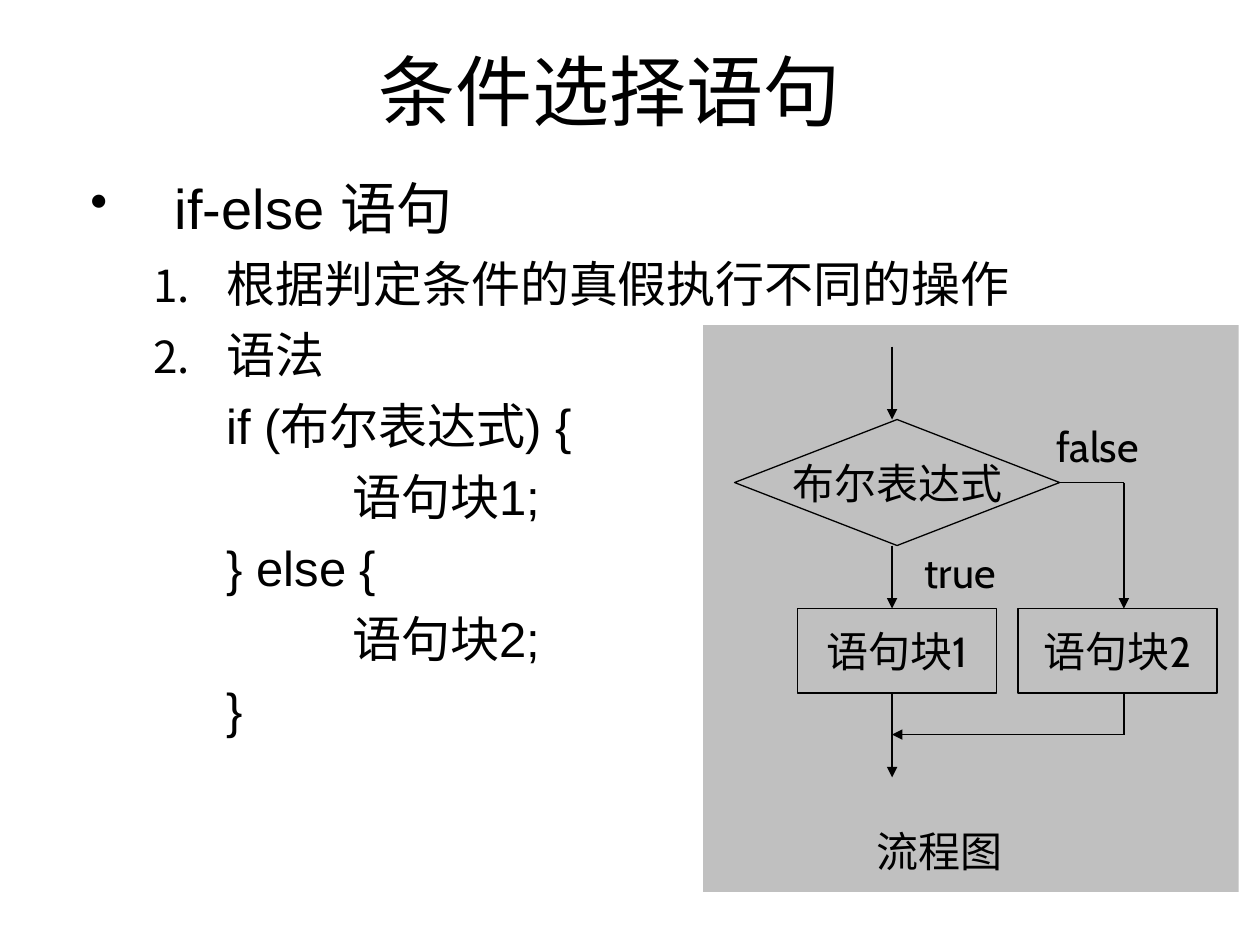
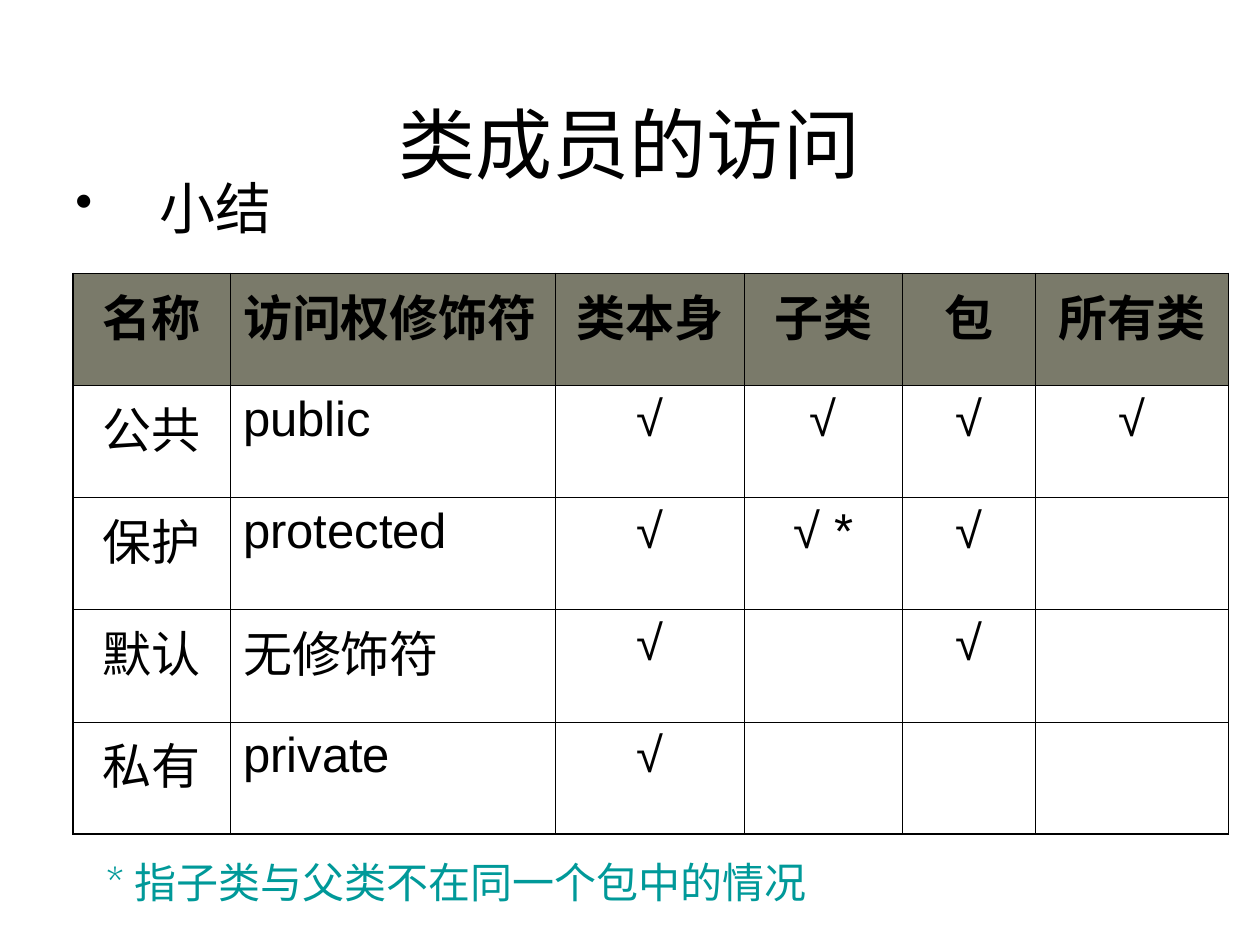
from lxml.etree import SubElement
from pptx import Presentation
from pptx.dml.color import RGBColor
from pptx.enum.shapes import MSO_CONNECTOR, MSO_SHAPE
from pptx.enum.text import MSO_ANCHOR, MSO_AUTO_SIZE, PP_ALIGN
from pptx.oxml.ns import qn
from pptx.util import Inches, Pt

BLACK, GREY, OLIVE, TEAL = "000000", "C0C0C0", "7A7A6A", "009999"
HEADING, TOPIC, DETAIL, LABEL = 44, 32, 28, 24
BODY_FONT, LABEL_FONT = "Arial", "Cabin"
TITLE_ONLY = 5

TOPIC_BULLET = {"margin": 0.67, "hang": 0.67, "bullet": ("buChar", {"char": "•"})}
NUMBERED = {"margin": 1.08, "hang": 0.58,
            "bullet": ("buAutoNum", {"type": "arabicPeriod"})}
CODE = {"margin": 1.08}
CODE_INNER = {"margin": 2.08}

IF_ELSE_LINES = [
    ("根据判定条件的真假执行不同的操作", NUMBERED),
    ("语法", NUMBERED),
    ("if (布尔表达式) {", CODE),
    ("语句块1;", CODE_INNER),
    ("} else {", CODE),
    ("语句块2;", CODE_INNER),
    ("}", CODE),
]

ACCESS_COLUMNS = [1.25, 2.58, 1.5, 1.25, 1.06, 1.53]
ACCESS_ROWS = [
    ["名称", "访问权修饰符", "类本身", "子类", "包", "所有类"],
    ["公共", "public", "√", "√", "√", "√"],
    ["保护", "protected", "√", "√ *", "√", ""],
    ["默认", "无修饰符", "√", "", "√", ""],
    ["私有", "private", "√", "", "", ""],
]


def color(value):
    return RGBColor.from_string(value)


def apply(target, formats):
    for name, value in formats.items():
        setattr(target, name, value)


def box_lengths(*lengths):
    return [Inches(length) for length in lengths]


def write(paragraph, text, size, font=BODY_FONT, ink=BLACK, bold=False, align=PP_ALIGN.LEFT):
    paragraph.alignment = align
    run = paragraph.add_run()
    run.text = text
    apply(run.font, {"size": Pt(size), "name": font, "bold": bold})
    run.font.color.rgb = color(ink)


def indent(paragraph, margin, hang=0, bullet=None):
    """Set the left margin, hanging indent and optional bullet."""
    properties = paragraph._p.get_or_add_pPr()
    properties.set("marL", str(Inches(margin)))
    properties.set("indent", str(-Inches(hang)))
    if bullet:
        tag, attributes = bullet
        bullet_color = SubElement(properties, qn("a:buClr"))
        SubElement(bullet_color, qn("a:srgbClr"), val=BLACK)
        SubElement(properties, qn("a:buSzPct"), val="90000")
        SubElement(properties, qn(f"a:{tag}"), attributes)


def add_titled_slide(deck, heading, box, anchor):
    slide = deck.slides.add_slide(deck.slide_layouts[TITLE_ONLY])
    title = slide.shapes.title
    apply(title, dict(zip(("left", "top", "width", "height"), box_lengths(*box))))
    apply(title.text_frame, {"auto_size": MSO_AUTO_SIZE.NONE, "vertical_anchor": anchor})
    write(title.text_frame.paragraphs[0], heading, HEADING, align=PP_ALIGN.CENTER)
    return slide


def add_outline(slide, box, topic, lines=()):
    """Add a bulleted topic followed by its detail lines."""
    frame = slide.shapes.add_textbox(*box_lengths(*box)).text_frame
    frame.word_wrap = True
    indent(frame.paragraphs[0], **TOPIC_BULLET)
    write(frame.paragraphs[0], topic, TOPIC)
    for text, layout in lines:
        paragraph = frame.add_paragraph()
        apply(paragraph, {"level": 1, "space_before": Pt(7)})
        indent(paragraph, **layout)
        write(paragraph, text, DETAIL)


def label(shape, text, ink=BLACK, align=PP_ALIGN.CENTER):
    apply(shape.text_frame, {"word_wrap": False, "vertical_anchor": MSO_ANCHOR.MIDDLE})
    write(shape.text_frame.paragraphs[0], text, LABEL, LABEL_FONT, ink, align=align)


def add_node(shapes, kind, box, text):
    node = shapes.add_shape(kind, *box_lengths(*box))
    node.shadow.inherit = False
    node.fill.background()
    node.line.color.rgb = color(BLACK)
    node.line.width = Pt(0.75)
    label(node, text)


def add_flow(shapes, start, end, arrow=True):
    flow = shapes.add_connector(MSO_CONNECTOR.STRAIGHT, *box_lengths(*start, *end))
    flow.line.color.rgb = color(BLACK)
    flow.line.width = Pt(0.75)
    if arrow:
        SubElement(flow.line._get_or_add_ln(), qn("a:tailEnd"), type="triangle")
    SubElement(flow._element.spPr, qn("a:effectLst"))


def add_flowchart(slide, left, top, width, height):
    shapes = slide.shapes.add_group_shape().shapes
    panel = shapes.add_shape(MSO_SHAPE.RECTANGLE, *box_lengths(left, top, width, height))
    panel.shadow.inherit = False
    panel.fill.solid()
    panel.fill.fore_color.rgb = color(GREY)
    panel.line.fill.background()

    main_x, branch_x = left + 1.5, left + 3.34
    test_left, test_top, test_width, test_height = left + 0.25, top + 0.75, 2.58, 1
    test_right, test_bottom = test_left + test_width, test_top + test_height
    test_middle = test_top + test_height / 2
    block_top, block_width, block_height = test_bottom + 0.5, 1.58, 0.67
    block_bottom = block_top + block_height
    join_y = block_bottom + 0.33

    add_node(shapes, MSO_SHAPE.DIAMOND,
             (test_left, test_top, test_width, test_height), "布尔表达式")
    for number in (1, 2):
        block_left = left + 0.75 + (number - 1) * 1.75
        add_node(shapes, MSO_SHAPE.RECTANGLE,
                 (block_left, block_top, block_width, block_height), f"语句块{number}")

    for start, end, arrow in [
        ((main_x, top + 0.17), (main_x, test_top), True),
        ((main_x, test_bottom), (main_x, block_top), True),
        ((main_x, block_bottom), (main_x, join_y + 0.34), True),
        ((test_right, test_middle), (branch_x, test_middle), False),
        ((branch_x, test_middle), (branch_x, block_top), True),
        ((branch_x, block_bottom), (branch_x, join_y), False),
        ((branch_x, join_y), (main_x, join_y), True),
    ]:
        add_flow(shapes, start, end, arrow)

    for text, box in [
        ("false", (left + 2.59, test_top, 1.08, 0.42)),
        ("true", (main_x, test_bottom, 1.08, 0.42)),
        ("流程图", (left + 0.92, top + 3.92, 1.92, 0.5)),
    ]:
        label(shapes.add_textbox(*box_lengths(*box)), text)


def add_borders(cell, outer_sides):
    properties = cell._tc.get_or_add_tcPr()
    for side in "LRTB":
        width = Pt(1.08 if side in outer_sides else 0.45)
        border = SubElement(properties, qn(f"a:ln{side}"), w=str(width))
        SubElement(SubElement(border, qn("a:solidFill")), qn("a:srgbClr"), val=BLACK)


def add_access_table(slide, left, top, row_height):
    row_count, column_count = len(ACCESS_ROWS), len(ACCESS_COLUMNS)
    table = slide.shapes.add_table(
        row_count, column_count,
        *box_lengths(left, top, sum(ACCESS_COLUMNS), row_height * row_count)).table
    apply(table, {"first_row": False, "horz_banding": False})
    for column, width in zip(table.columns, ACCESS_COLUMNS):
        column.width = Inches(width)
    for row, texts in enumerate(ACCESS_ROWS):
        for column, text in enumerate(texts):
            cell = table.cell(row, column)
            edges = {"L": column == 0, "R": column == column_count - 1,
                     "T": row == 0, "B": row == row_count - 1}
            add_borders(cell, [side for side, is_outer in edges.items() if is_outer])
            if row == 0:
                cell.fill.solid()
                cell.fill.fore_color.rgb = color(OLIVE)
            else:
                cell.fill.background()
            if text:
                write(cell.text_frame.paragraphs[0], text, DETAIL, bold=row == 0,
                      align=PP_ALIGN.LEFT if column == 1 else PP_ALIGN.CENTER)


def build_if_else_slide(deck):
    slide = add_titled_slide(deck, "条件选择语句", (0.58, 0.25, 8.52, 0.92), MSO_ANCHOR.MIDDLE)
    add_outline(slide, (0.62, 1.33, 9.13, 5.92), "if-else 语句", IF_ELSE_LINES)
    add_flowchart(slide, 5.58, 2.58, 4.25, 4.5)


def build_access_slide(deck):
    slide = add_titled_slide(deck, "类成员的访问", (0.5, 0.3, 9, 1.25), MSO_ANCHOR.BOTTOM)
    add_outline(slide, (0.5, 1.33, 9.25, 0.83), "小结")
    add_access_table(slide, 0.58, 2.17, 0.89)
    footnote = slide.shapes.add_textbox(*box_lengths(0.75, 6.75, 6, 0.5))
    label(footnote, "* 指子类与父类不在同一个包中的情况", TEAL, PP_ALIGN.LEFT)


def main():
    deck = Presentation()
    apply(deck, {"slide_width": Inches(10), "slide_height": Inches(7.5)})
    build_if_else_slide(deck)
    build_access_slide(deck)
    deck.save("out.pptx")


if __name__ == "__main__":
    main()
